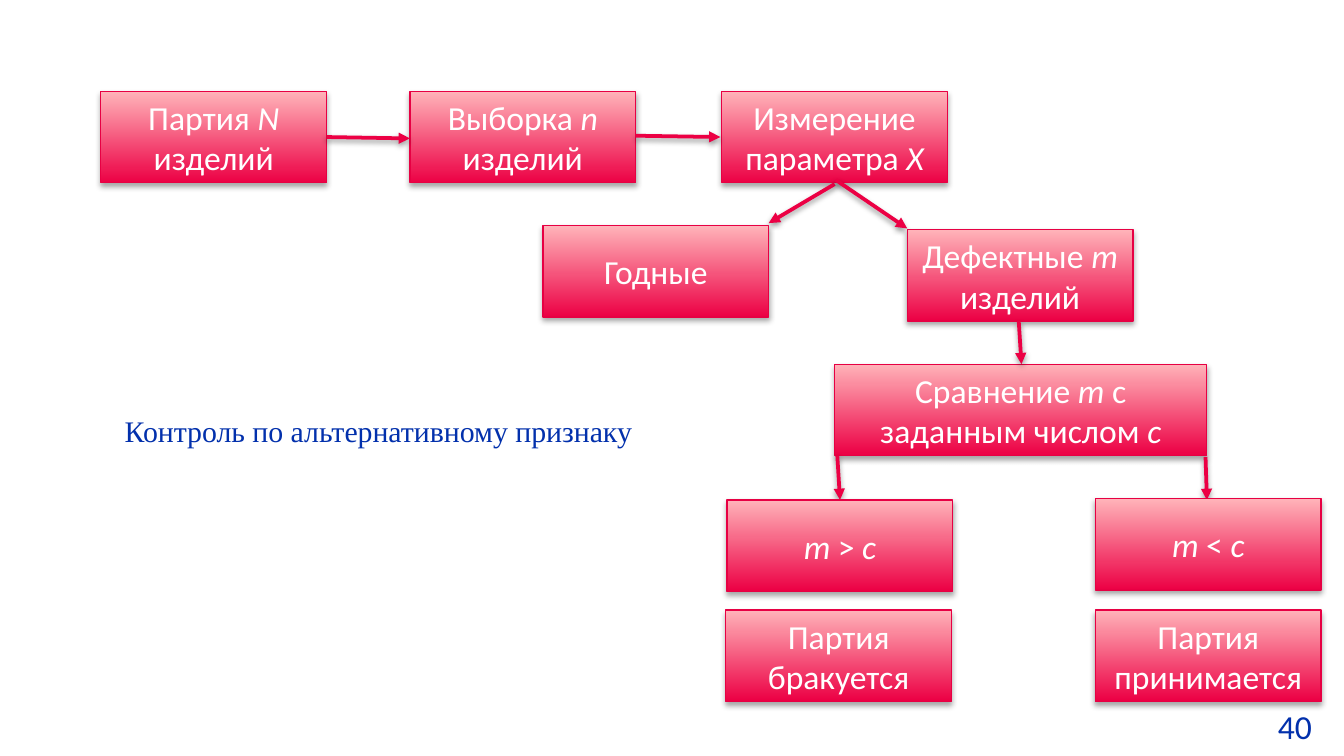
import pptx
import pptx.util
import pptx.oxml
import pptx.oxml.ns
from pptx.dml.color import RGBColor
from pptx.enum.shapes import MSO_CONNECTOR, MSO_SHAPE
from pptx.enum.text import MSO_ANCHOR, PP_ALIGN
from pptx.util import Inches, Pt

COLORS = {
    "bottom": "EC0044",
    "top": "FFB3B9",
    "border": "E70043",
    "white": "FFFFFF",
    "blue": "0230AC",
    "shadow": "000000",
}
BOX_W, BOX_H = 1.68, 0.68

# left, top, width, text; parts between underscores alternate to italic
SAMPLING_BOXES = [
    (0.75, 0.68, BOX_W, "Партия _N _изделий"),
    (3.05, 0.68, BOX_W, "Выборка _n _изделий"),
    (5.37, 0.68, BOX_W, "Измерение параметра _X"),
]
SORTING_BOXES = [
    (4.04, 1.68, BOX_W, "Годные"),
    (6.75, 1.71, BOX_W, "Дефектные _m_ изделий"),
    (6.21, 2.71, 2.77, "Сравнение _m_ с заданным числом _c"),
]
DECISION_BOXES = [
    (5.41, 3.72, BOX_W, "_m_ > _c"),
    (8.15, 3.71, BOX_W, "_m _< _c"),
    (5.4, 4.54, BOX_W, "Партия бракуется"),
    (8.15, 4.54, BOX_W, "Партия принимается"),
]
# start x, start y, end x, end y
SAMPLING_ARROWS = [
    (2.43, 1.02, 3.05, 1.03),
    (4.73, 1.01, 5.36, 1.02),
    (6.21, 1.37, 5.72, 1.66),
    (6.22, 1.34, 6.75, 1.7),
]
SORTING_ARROWS = [
    (7.58, 2.39, 7.6, 2.71),
    (6.23, 3.39, 6.25, 3.72),
    (8.97, 3.4, 8.98, 3.72),
]
STAGES = [
    (SAMPLING_BOXES, SAMPLING_ARROWS),
    (SORTING_BOXES, SORTING_ARROWS),
    (DECISION_BOXES, []),
]


def rgb(name):
    return RGBColor.from_string(COLORS[name])


def style_font(font, size, name, color):
    font.size = Pt(size)
    font.name = name
    font.color.rgb = rgb(color)


def add_shadow(shape, distance, opacity):
    """Append a soft downward shadow; the line must already be set."""
    shape._element.spPr.append(pptx.oxml.parse_xml(
        f'<a:effectLst {pptx.oxml.ns.nsdecls("a")}>'
        f'<a:outerShdw blurRad="{Pt(3.1)}" dist="{Pt(distance)}" dir="5400000" rotWithShape="0">'
        f'<a:srgbClr val="{COLORS["shadow"]}"><a:alpha val="{opacity * 1000}"/></a:srgbClr>'
        '</a:outerShdw></a:effectLst>'))


def add_box(s, left, top, width, text):
    sp = s.shapes.add_shape(MSO_SHAPE.RECTANGLE, Inches(left), Inches(top),
                            Inches(width), Inches(BOX_H))
    sp.fill.gradient()
    sp.fill.gradient_angle = 90
    for stop, color in zip(sp.fill.gradient_stops, ("bottom", "top")):
        stop.color.rgb = rgb(color)
    sp.line.color.rgb = rgb("border")
    sp.line.width = Pt(0.75)
    add_shadow(sp, 1.8, 35)
    tf = sp.text_frame
    tf.word_wrap = True
    tf.vertical_anchor = MSO_ANCHOR.MIDDLE
    p = tf.paragraphs[0]
    p.alignment = PP_ALIGN.CENTER
    for i, part in enumerate(text.split("_")):
        if part:
            r = p.add_run()
            r.text = part
            style_font(r.font, 18, "Calibri", "white")
            r.font.italic = i % 2 == 1


def add_arrow(s, x1, y1, x2, y2):
    c = s.shapes.add_connector(MSO_CONNECTOR.STRAIGHT, Inches(x1), Inches(y1),
                               Inches(x2), Inches(y2))
    c.line.color.rgb = rgb("bottom")
    c.line.width = Pt(2)
    c.line._get_or_add_ln().append(pptx.oxml.parse_xml(
        f'<a:tailEnd {pptx.oxml.ns.nsdecls("a")} type="triangle"/>'))
    add_shadow(c, 1.6, 38)


def add_text(s, left, top, width, height, text, size, font):
    """Add a one-line blue text box and return its paragraph."""
    tf = s.shapes.add_textbox(Inches(left), Inches(top), Inches(width),
                              Inches(height)).text_frame
    tf.word_wrap = True
    tf.text = text
    p = tf.paragraphs[0]
    style_font(p.runs[0].font, size, font, "blue")
    return p


def main():
    prs = pptx.Presentation()
    prs.slide_width = Inches(10)
    prs.slide_height = prs.slide_width * 9 // 16
    s = prs.slides.add_slide(prs.slide_layouts[6])

    p = add_text(s, 0.33, 2.89, 4.64, 0.59, "Контроль по альтернативному признаку",
                 16, "Times New Roman")
    p.alignment = PP_ALIGN.JUSTIFY
    p.line_spacing = 1.5
    p._p.get_or_add_pPr().set("indent", str(Inches(0.5)))
    add_text(s, 9.41, 5.2, 0.59, 0.4, "40", 18, "Calibri")

    for boxes, arrows in STAGES:
        for box in boxes:
            add_box(s, *box)
        for arrow in arrows:
            add_arrow(s, *arrow)
    prs.save("out.pptx")


if __name__ == "__main__":
    main()
